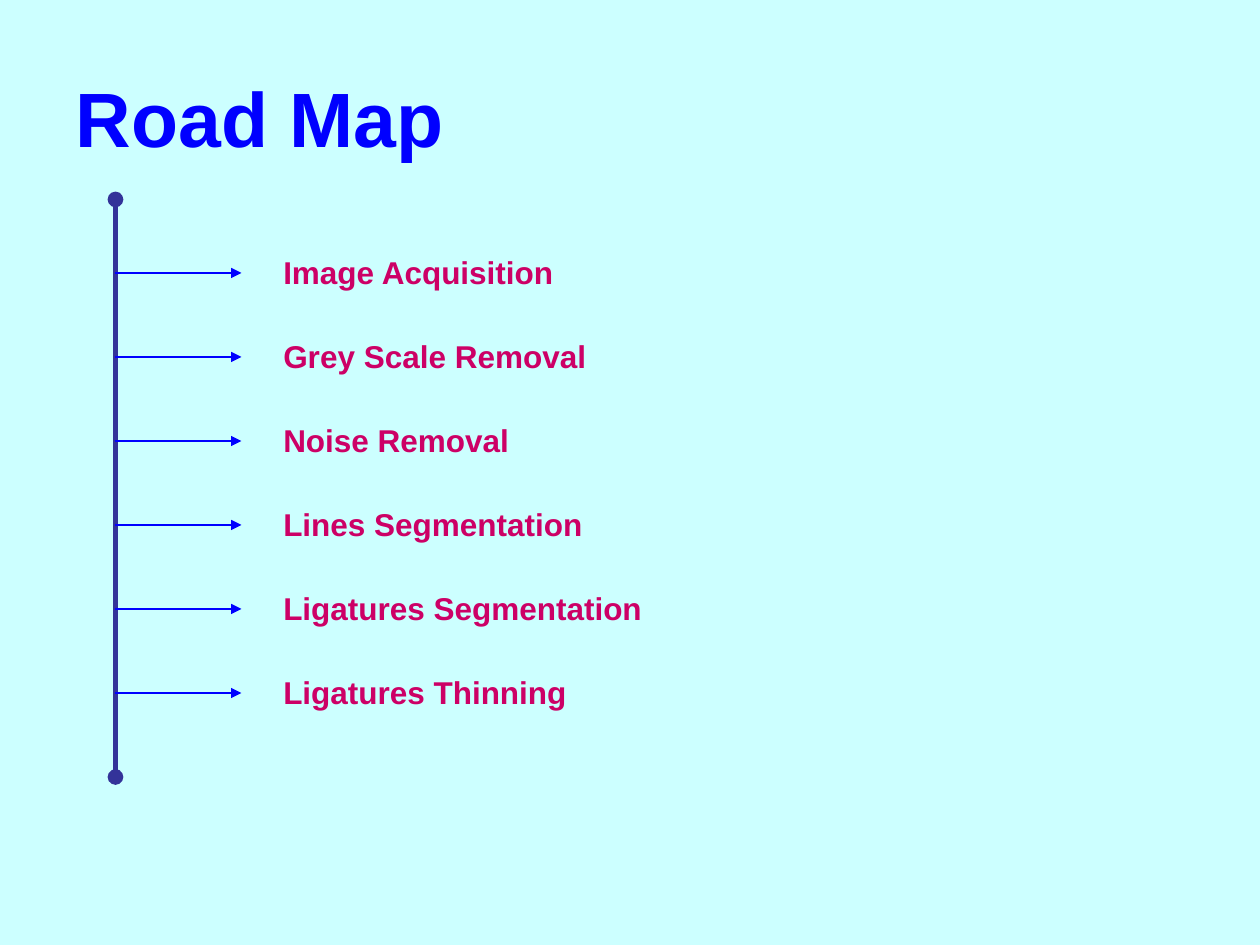
from lxml import etree
from pptx import Presentation
from pptx import util as u
from pptx.dml.color import RGBColor
from pptx.enum import shapes, text
from pptx.oxml.ns import qn

BACKGROUND = RGBColor(0xCC, 0xFF, 0xFF)
BLUE = RGBColor(0x00, 0x00, 0xFF)
INDIGO = RGBColor(0x33, 0x33, 0x99)
MAGENTA = RGBColor(0xCC, 0x00, 0x66)
FONT = "Arial"

ROAD_X = 11 / 12
ROAD_TOP, ROAD_BOTTOM = 19 / 12, 37 / 6
BRANCH_LENGTH = 1
FIRST_ROW = 13 / 6
ROW_STEP = 2 / 3
LABEL_X = 2.15
LABEL_HEIGHT = 0.4
LABEL_RISE = 0.21

STEPS = [
    ("Image Acquisition", 2.36),
    ("Grey Scale Removal", 2.62),
    ("Noise Removal", 2),
    ("Lines Segmentation", 2.59),
    ("Ligatures Segmentation", 3.06),
    ("Ligatures Thinning", 2.46),
]


def write_text(shape, words, size, color):
    shape.text_frame.text = words
    paragraph = shape.text_frame.paragraphs[0]
    paragraph.alignment = text.PP_ALIGN.LEFT
    font = paragraph.runs[0].font
    font.name = FONT
    font.size = u.Pt(size)
    font.bold = True
    font.color.rgb = color


def set_title(slide, words):
    title = slide.shapes.title
    title.left, title.top = u.Inches(0.5), u.Inches(0.3)
    title.width, title.height = u.Inches(9), u.Inches(1.25)
    title.text_frame.vertical_anchor = text.MSO_ANCHOR.MIDDLE
    write_text(title, words, 44, BLUE)


def add_line(slide, start, end, color, width, head=None, tail=None):
    points = [u.Inches(length) for length in (*start, *end)]
    connector = slide.shapes.add_connector(shapes.MSO_CONNECTOR.STRAIGHT, *points)
    connector.line.color.rgb = color
    connector.line.width = u.Pt(width)
    line = connector.line._get_or_add_ln()
    for tag, kind in (("a:headEnd", head), ("a:tailEnd", tail)):
        if kind:
            etree.SubElement(line, qn(tag), type=kind)
    etree.SubElement(connector._element.spPr, qn("a:effectLst"))


def add_label(slide, words, top, width):
    box = slide.shapes.add_textbox(
        u.Inches(LABEL_X), u.Inches(top), u.Inches(width), u.Inches(LABEL_HEIGHT)
    )
    box.text_frame.word_wrap = False
    box.text_frame.auto_size = text.MSO_AUTO_SIZE.SHAPE_TO_FIT_TEXT
    write_text(box, words, 18, MAGENTA)


def main():
    presentation = Presentation()
    presentation.slide_width = u.Inches(10)
    presentation.slide_height = u.Inches(7.5)
    slide = presentation.slides.add_slide(presentation.slide_layouts[5])
    slide.background.fill.solid()
    slide.background.fill.fore_color.rgb = BACKGROUND

    set_title(slide, "Road Map")
    add_line(slide, (ROAD_X, ROAD_TOP), (ROAD_X, ROAD_BOTTOM), INDIGO, 3, "oval", "oval")
    for row, (words, width) in enumerate(STEPS):
        y = FIRST_ROW + row * ROW_STEP
        add_line(slide, (ROAD_X, y), (ROAD_X + BRANCH_LENGTH, y), BLUE, 1, tail="triangle")
        add_label(slide, words, y - LABEL_RISE, width)

    presentation.save("out.pptx")


if __name__ == "__main__":
    main()
